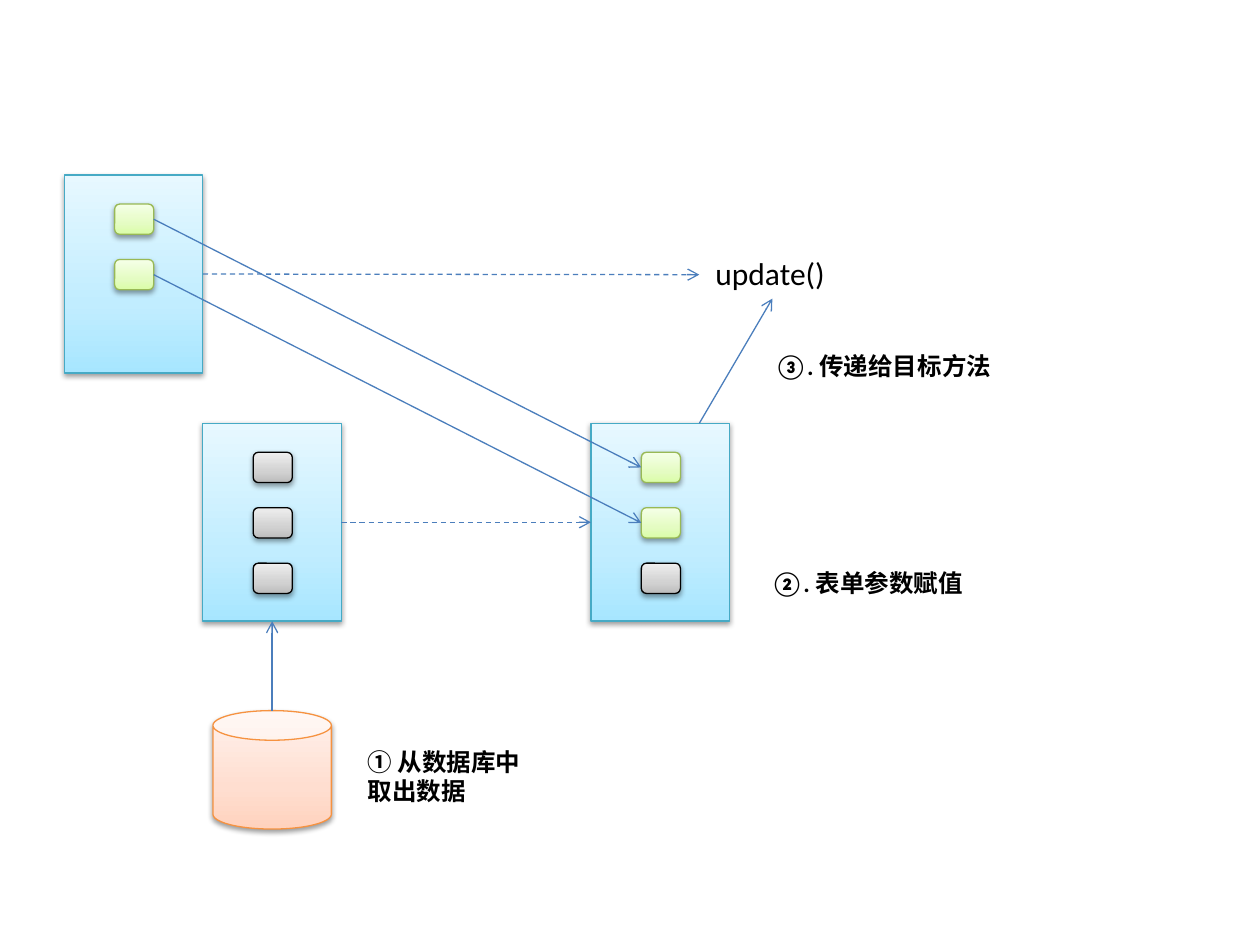
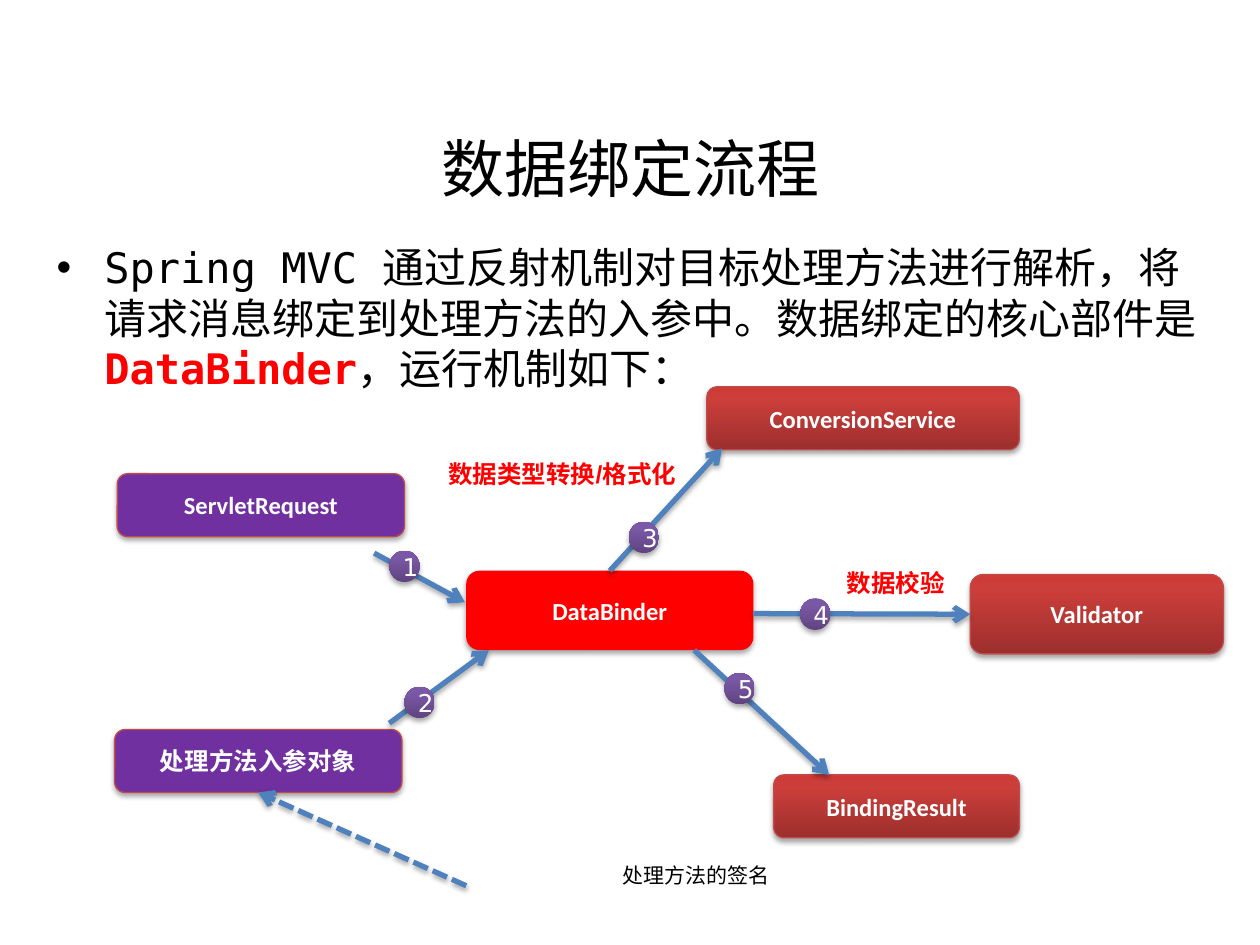
from copy import deepcopy

from lxml.etree import SubElement
from pptx import Presentation
from pptx.dml.color import RGBColor
from pptx.enum.dml import MSO_LINE as DASH
from pptx.enum.shapes import MSO_CONNECTOR as CONN, MSO_SHAPE as SHAPE
from pptx.enum.text import MSO_ANCHOR as ANCHOR, MSO_AUTO_SIZE as FIT, PP_ALIGN as ALIGN
from pptx.oxml.ns import qn
from pptx.util import Inches, Pt

TOP, LEFT, BOTTOM, RIGHT = range(4)
TITLE_ONLY, BLANK = 5, 6
RED = "FF0000"

BLUE = {"fill": [(0, "A7E6FF"), (35, "C1EDFF"), (100, "E7F8FF")], "line": "46AAC5"}
GREEN = {"fill": [(0, "DAFDA7"), (35, "E4FCC2"), (100, "F5FFE7")], "line": "98B955"}
GREY = {"fill": [(0, "BDBDBD"), (35, "D1D1D1"), (100, "EEEEEE")], "line": "000000"}
ORANGE = {"fill": [(0, "FFD2BD"), (35, "FFDED0"), (100, "FFF2ED")], "line": "F69240"}
BRICK = {"fill": [(0, "9C2F2D"), (80, "CB3E3A"), (100, "CE3B37")], "line": "BF4C48"}
PURPLE = {"fill": "7030A0", "line": "BF4C48"}
CORE = {"fill": RED, "line": None}
BADGE = {"fill": [(0, "5F4480"), (80, "7B58A6"), (100, "7C57A8")], "line": None}

SOFT = {"alpha": 38, "dist": 1.6}
DEEP = {"alpha": 35, "dist": 1.8}
THIN = {"color": "4B7EBC", "width": 0.75}
THICK = {"color": "4F81BD", "width": 3, "shadow": DEEP}

PLAIN = {"name": "Calibri", "size": Pt(18)}
NOTE = {"name": "Calibri", "size": Pt(14), "bold": True}
CAPTION = {"name": "Arial", "size": Pt(14), "bold": True}
SMALL = {"name": "Arial", "size": Pt(12)}
DIGIT = {"name": "DejaVu Sans", "size": Pt(14)}
HEADING = {"name": "DejaVu Sans Mono", "size": Pt(36)}
BODY = {"name": "DejaVu Sans Mono", "size": Pt(24)}


def rgb(value):
    return RGBColor.from_string(value)


def inches(values):
    return [Inches(v) for v in values]


class Deck:
    def __init__(self):
        self.prs = Presentation()
        self.prs.slide_width, self.prs.slide_height = Inches(10), Inches(7.5)
        self.s = None

    def slide(self, layout):
        self.s = self.prs.slides.add_slide(self.prs.slide_layouts[layout])

    def run(self, p, text, fmt, color="000000"):
        r = p.add_run()
        r.text = text
        for key, value in fmt.items():
            setattr(r.font, key, value)
        r.font.color.rgb = rgb(color)

    def title(self, text, at):
        sp = self.s.shapes.title
        for key, value in zip(("left", "top", "width", "height"), inches(at)):
            setattr(sp, key, value)
        sp.text_frame.vertical_anchor = ANCHOR.MIDDLE
        p = sp.text_frame.paragraphs[0]
        p.alignment = ALIGN.CENTER
        self.run(p, text, HEADING)

    def frame(self, at, fit):
        tf = self.s.shapes.add_textbox(*inches(at)).text_frame
        tf.word_wrap = True
        tf.auto_size = fit
        return tf.paragraphs[0]

    def text(self, text, at, fmt, color="000000"):
        self.run(self.frame(at, FIT.SHAPE_TO_FIT_TEXT), text, fmt, color)

    def bullet(self, parts, at):
        p = self.frame(at, FIT.NONE)
        p.space_before = Pt(4.8)
        pPr = p._p.get_or_add_pPr()
        pPr.set("marL", str(Inches(0.38)))
        pPr.set("indent", str(-Inches(0.38)))
        SubElement(pPr, qn("a:buFont"), typeface="Arial")
        SubElement(pPr, qn("a:buChar"), char="•")
        for text, color, bold in parts:
            self.run(p, text, {**BODY, "bold": bold}, color)

    def gradient(self, sp, stops):
        sp.fill.gradient()
        sp.fill.gradient_angle = 90
        gs = sp._element.spPr.find(qn("a:gradFill")).find(qn("a:gsLst"))
        gs.append(deepcopy(gs[-1]))
        for stop, (position, color) in zip(sp.fill.gradient_stops, stops):
            stop.position = position / 100
            stop.color.rgb = rgb(color)

    def cast(self, effects, alpha, dist):
        shadow = SubElement(effects, qn("a:outerShdw"), blurRad=str(Pt(3.1)),
                            dist=str(Pt(dist)), dir="5400000", rotWithShape="0")
        color = SubElement(shadow, qn("a:srgbClr"), val="000000")
        SubElement(color, qn("a:alpha"), val=str(alpha * 1000))

    def shape(self, kind, at, look, shadow, text=None, fmt=NOTE):
        sp = self.s.shapes.add_shape(kind, *inches(at))
        if isinstance(look["fill"], str):
            sp.fill.solid()
            sp.fill.fore_color.rgb = rgb(look["fill"])
        else:
            self.gradient(sp, look["fill"])
        if look["line"]:
            sp.line.color.rgb = rgb(look["line"])
            sp.line.width = Pt(0.75)
        else:
            sp.line.fill.background()
        sp.shadow.inherit = False
        self.cast(sp._element.spPr.find(qn("a:effectLst")), **shadow)
        if text:
            tf = sp.text_frame
            tf.vertical_anchor = ANCHOR.MIDDLE
            p = tf.paragraphs[0]
            p.alignment = ALIGN.CENTER
            self.run(p, text, fmt, "FFFFFF")
        return sp

    def box(self, text, at, look):
        return self.shape(SHAPE.ROUNDED_RECTANGLE, at, look, DEEP, text)

    def panel(self, left, top, looks):
        panel = self.shape(SHAPE.RECTANGLE, (left, top, 1.1, 1.57), BLUE, SOFT)
        cells = [self.shape(SHAPE.ROUNDED_RECTANGLE,
                            (left + 0.4, top + 0.23 + 0.44 * i, 0.31, 0.24), look, SOFT)
                 for i, look in enumerate(looks)]
        return panel, cells

    def arrow(self, start, end, color, width, shadow=None, dash=None, begin=None, finish=None):
        c = self.s.shapes.add_connector(CONN.STRAIGHT, *inches(start + end))
        if begin:
            c.begin_connect(*begin)
        if finish:
            c.end_connect(*finish)
        c.line.color.rgb = rgb(color)
        c.line.width = Pt(width)
        if dash:
            c.line.dash_style = dash
        spPr = c._element.spPr
        SubElement(spPr.find(qn("a:ln")), qn("a:tailEnd"), type="arrow")
        effects = SubElement(spPr, qn("a:effectLst"))
        if shadow:
            self.cast(effects, **shadow)
        return c

    def step(self, number, start, end, badge, **joins):
        c = self.arrow(start, end, **THICK, **joins)
        sp = self.shape(SHAPE.OVAL, badge + (0.24, 0.25), BADGE, DEEP, str(number), DIGIT)
        self.s.shapes.add_group_shape([c, sp])


def update_slide(d):
    d.slide(BLANK)
    form, inputs = d.panel(0.51, 1.39, [GREEN] * 2)
    stored, _ = d.panel(1.61, 3.36, [GREY] * 3)
    merged, fields = d.panel(4.69, 3.36, [GREEN, GREEN, GREY])
    d.shape(SHAPE.CAN, (1.69, 5.64, 0.94, 0.94), ORANGE, SOFT)

    d.arrow((1.61, 2.18), (5.55, 2.18), **THIN, dash=DASH.DASH, begin=(form, RIGHT))
    d.arrow((2.72, 4.14), (4.69, 4.14), **THIN, dash=DASH.DASH,
            begin=(stored, RIGHT), finish=(merged, LEFT))
    d.arrow((2.16, 5.64), (2.16, 4.93), **THIN, finish=(stored, BOTTOM))
    d.arrow((5.55, 3.36), (6.13, 2.37), **THIN)
    for source, target in zip(inputs, fields):
        d.arrow((1.22, 1.74), (5.08, 3.71), **THIN,
                begin=(source, RIGHT), finish=(target, LEFT))

    d.text("update()", (5.58, 1.97, 1.1, 0.4), PLAIN)
    d.text("① 从数据库中取出数据", (2.82, 5.88, 1.57, 0.57), NOTE)
    d.text("②. 表单参数赋值", (6.02, 4.46, 1.81, 0.34), NOTE)
    d.text("③. 传递给目标方法", (6.05, 2.74, 1.94, 0.34), NOTE)


def binding_slide(d):
    d.slide(TITLE_ONLY)
    d.title("数据绑定流程", (0.5, 0.7, 9, 1.25))
    d.bullet([
        ("Spring MVC 通过反射机制对目标处理方法进行解析，将请求消息绑定到处理方法的入参中。数据绑定的核心部件是 ",
         "000000", False),
        ("DataBinder", RED, True),
        ("，运行机制如下：", "000000", False),
    ], (0.35, 1.87, 9.29, 1.88))

    binder = d.box("DataBinder", (3.7, 4.53, 2.28, 0.63), CORE)
    d.box("ConversionService", (5.61, 3.07, 2.48, 0.5), BRICK)
    validator = d.box("Validator", (7.7, 4.56, 2.01, 0.63), BRICK)
    d.box("BindingResult", (6.14, 6.15, 1.95, 0.5), BRICK)
    d.box("ServletRequest", (0.93, 3.76, 2.28, 0.5), PURPLE)
    argument = d.box("处理方法入参对象", (0.91, 5.79, 2.28, 0.5), PURPLE)

    d.step(1, (2.97, 4.39), (3.69, 4.78), (3.09, 4.37))
    d.step(2, (3.09, 5.74), (3.88, 5.16), (3.21, 5.45))
    d.step(3, (4.84, 4.53), (5.73, 3.56), (4.99, 4.14), begin=(binder, TOP))
    d.step(4, (5.98, 4.87), (7.7, 4.87), (6.35, 4.75), finish=(validator, LEFT))
    d.step(5, (5.51, 5.16), (6.58, 6.15), (5.75, 5.34))
    d.arrow((3.7, 7.03), (2.05, 6.29), **THICK, dash=DASH.SQUARE_DOT,
            finish=(argument, BOTTOM))

    d.text("处理方法的签名", (4.84, 6.8, 1.37, 0.3), SMALL)
    d.text("数据类型转换/格式化", (3.46, 3.59, 2.64, 0.34), CAPTION, RED)
    d.text("数据校验", (6.62, 4.46, 1.22, 0.34), CAPTION, RED)


def main():
    d = Deck()
    update_slide(d)
    binding_slide(d)
    d.prs.save("out.pptx")


if __name__ == "__main__":
    main()
